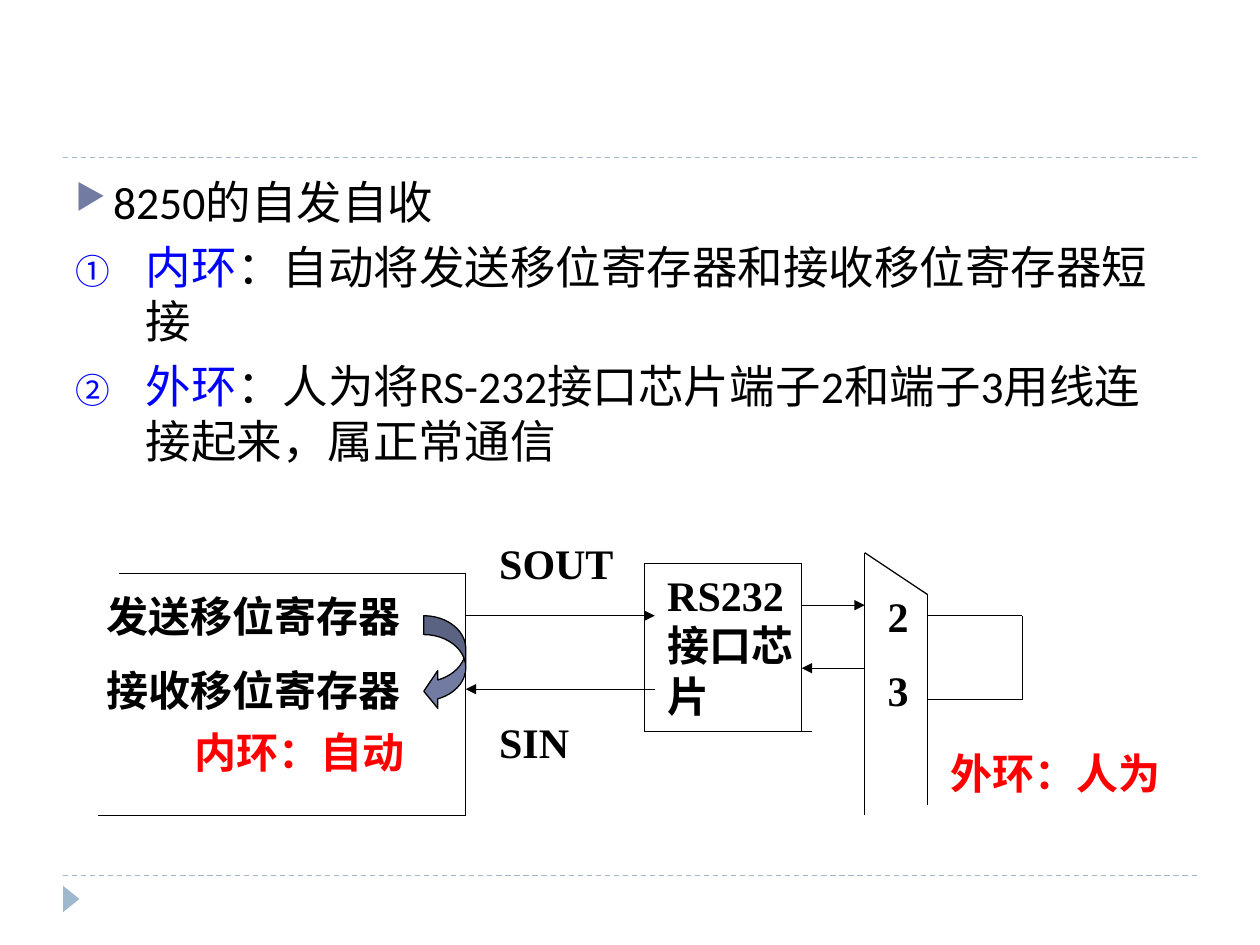
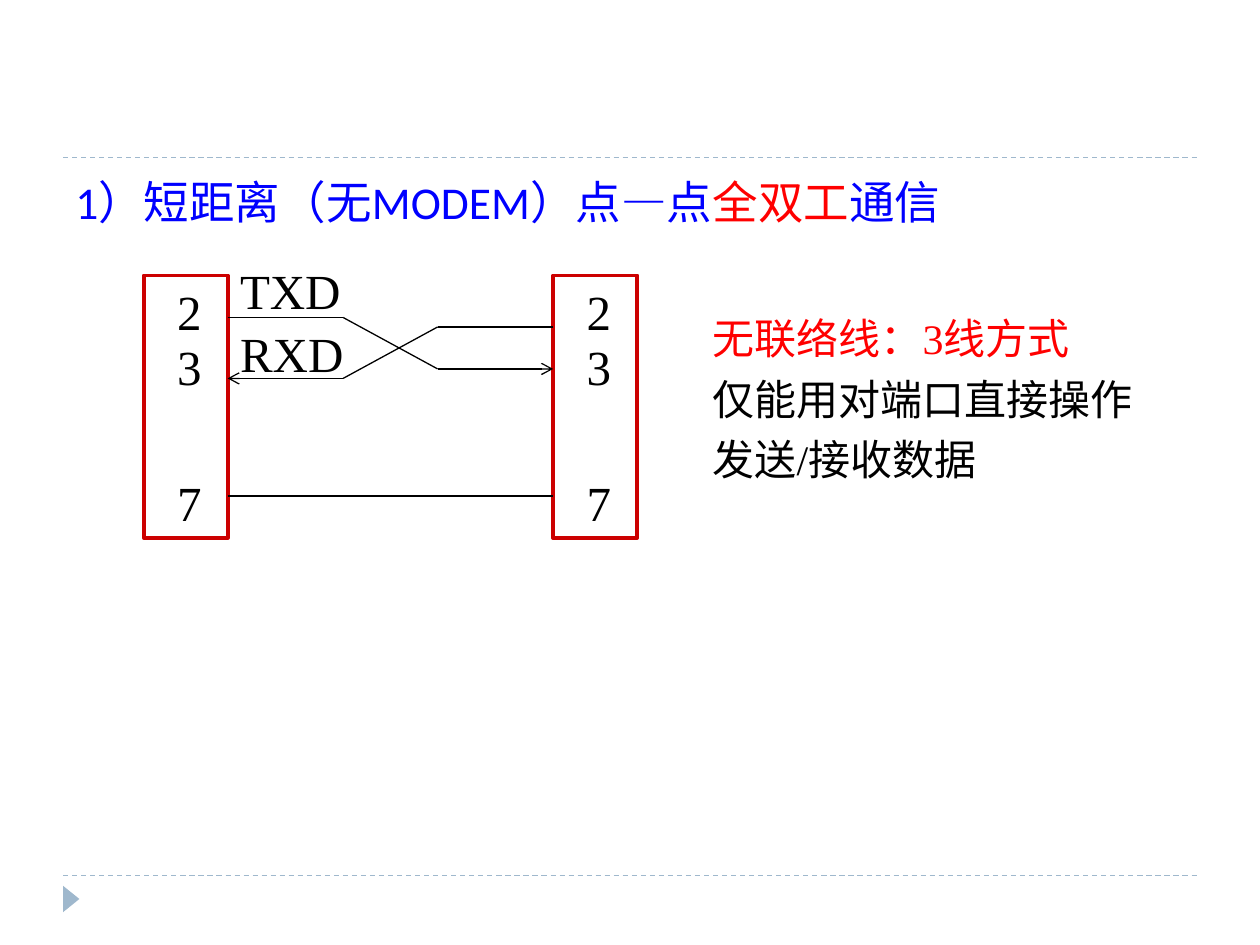
from itertools import pairwise

from lxml.etree import SubElement
from pptx import Presentation
from pptx.dml.color import RGBColor
from pptx.enum.dml import MSO_LINE
from pptx.enum.lang import MSO_LANGUAGE_ID
from pptx.enum.shapes import MSO_CONNECTOR, MSO_SHAPE
from pptx.oxml.ns import qn
from pptx.util import Inches, Pt

BLACK = RGBColor(0x00, 0x00, 0x00)
BLUE = RGBColor(0x00, 0x00, 0xFF)
RED = RGBColor(0xFF, 0x00, 0x00)
CRIMSON = RGBColor(0xCC, 0x00, 0x00)
SLATE = RGBColor(0x72, 0x7C, 0xA3)
MIST = RGBColor(0x9F, 0xB8, 0xCD)
BODY_FONT, DIAGRAM_FONT = "Calibri", "Times New Roman"
WIDTH, HEIGHT = 10, 7.5
UNIT = 1 / 12


class Grid:
    """Places parts by column and row, counted from a corner given in inches."""

    def __init__(self, slide, left, top, unit=UNIT):
        self.shapes, self.left, self.top, self.unit = slide.shapes, left, top, unit

    def point(self, col, row):
        """Return the slide position of a grid point."""
        return Inches(self.left + col * self.unit), Inches(self.top + row * self.unit)

    def frame(self, col, row, cols, rows):
        """Return position and size of a grid area."""
        return *self.point(col, row), Inches(cols * self.unit), Inches(rows * self.unit)

    def path_line(self, *points, color=BLACK, dash=None, arrow=None):
        """Join points by straight lines, the last one with an optional arrowhead."""
        for start, end in pairwise(points):
            c = self.shapes.add_connector(
                MSO_CONNECTOR.STRAIGHT, *self.point(*start), *self.point(*end))
            c.line.color.rgb, c.line.width = color, Pt(0.75)
            if dash:
                c.line.dash_style = dash
            if arrow and end == points[-1]:
                SubElement(c.line._get_or_add_ln(), qn("a:tailEnd"), type=arrow)
            SubElement(c._element.spPr, qn("a:effectLst"))

    def shape(self, kind, col, row, cols, rows, fill=None, line=None, weight=0.75):
        """Add a preset shape with plain fill and outline."""
        sp = self.shapes.add_shape(kind, *self.frame(col, row, cols, rows))
        sp.shadow.inherit = False
        if fill is None:
            sp.fill.background()
        else:
            sp.fill.solid()
            sp.fill.fore_color.rgb = fill
        if line is None:
            sp.line.fill.background()
        else:
            sp.line.color.rgb, sp.line.width = line, Pt(weight)
        return sp

    def text(self, paragraphs, col, row, cols, rows, size=24, font=DIAGRAM_FONT,
             color=BLACK, bold=False, gap=0, spacing=None):
        """Add paragraphs, each a string or a list of (string, colour) runs."""
        tf = self.shapes.add_textbox(*self.frame(col, row, cols, rows)).text_frame
        tf.word_wrap = True
        for i, runs in enumerate(paragraphs):
            p = tf.paragraphs[0] if i == 0 else tf.add_paragraph()
            if i:
                p.space_before = Pt(gap)
            if spacing:
                p.line_spacing = spacing
            for words, tint in [(runs, color)] if isinstance(runs, str) else runs:
                r = p.add_run()
                r.text = words
                r.font.name, r.font.size, r.font.bold = font, Pt(size), bold
                r.font.color.rgb = tint
                r.font.language_id = MSO_LANGUAGE_ID.SIMPLIFIED_CHINESE
        return tf


def bullet(p, indent, tag, color=None, **attrs):
    """Give a paragraph a hanging bullet."""
    pPr = p._p.get_or_add_pPr()
    pPr.set("marL", str(Inches(indent)))
    pPr.set("indent", str(-Inches(indent)))
    if color is not None:
        clr = SubElement(pPr, qn("a:buClr"))
        SubElement(clr, qn("a:srgbClr"), val=str(color))
    SubElement(pPr, qn("a:buSzPct"), val="76000")
    SubElement(pPr, qn(tag), **attrs)


def new_slide(prs):
    """Add a blank slide with the dashed rules and the corner marker."""
    slide = prs.slides.add_slide(prs.slide_layouts[6])
    page = Grid(slide, 0, 0, 1)
    for row in (6.95, 1.25):
        page.path_line((0.5, row), (WIDTH - 0.5, row), color=MIST, dash=MSO_LINE.DASH)
    page.shape(MSO_SHAPE.ISOSCELES_TRIANGLE, 0.46, 7.07, 0.21, 0.13, fill=MIST).rotation = 90
    return slide


def body(slide, paragraphs):
    """Add the main text below the upper rule."""
    return Grid(slide, 0.5, 1.33, 1).text(
        paragraphs, 0, 0, 9, 5.4, size=26, font=BODY_FONT, gap=6)


def chip_8250(grid):
    """Draw the open chip outline with its registers and inner loop."""
    grid.text(["发送移位寄存器", "接收移位寄存器"], -0.4, 5, 39.7, 13.3, bold=True, gap=13.8)
    grid.path_line((2, 4), (35, 4), (35, 27), (0, 27))
    arrow = grid.shape(MSO_SHAPE.CURVED_LEFT_ARROW, 31, 8, 4, 9, fill=SLATE, line=BLACK)
    for i, value in enumerate((0.45, 0.9, 0.333)):
        arrow.adjustments[i] = value
    grid.text(["内环：自动"], 8, 18, 26, 6, color=RED, bold=True)


def rs232_chip(grid):
    """Draw the interface chip and the serial lines on both sides."""
    grid.path_line((67, 19), (67, 3), (52, 3), (52, 19), (68, 19))
    grid.text(["RS232接口芯片"], 53, 3, 16, 15.7, bold=True)
    grid.text(["SOUT"], 37, 0, 15, 6, bold=True)
    grid.text(["SIN"], 37, 17, 12, 6, bold=True)
    for start, end in (((35, 8), (53, 8)), ((53, 15), (35, 15)),
                       ((67, 7), (73, 7)), ((73, 13), (67, 13))):
        grid.path_line(start, end, arrow="triangle")


def connector_plug(grid):
    """Draw the plug with terminals 2 and 3 wired together."""
    grid.path_line((73, 27), (73, 2), (79, 6), (79, 26))
    grid.text(["2", "3"], 74, 5, 3, 13.3, bold=True, gap=13.8)
    grid.path_line((79, 8), (88, 8), (88, 16), (79, 16))
    grid.text(["外环：人为"], 80, 20, 24, 6, color=RED, bold=True)


def loopback_slide(prs):
    """Build the slide on 8250 inner and outer loops."""
    slide = new_slide(prs)
    tf = body(slide, [
        "8250的自发自收",
        [("内环", BLUE), ("：自动将发送移位寄存器和接收移位寄存器短接", BLACK)],
        [("外环", BLUE), ("：人为将RS-232接口芯片端子2和端子3用线连接起来，属正常通信", BLACK)],
    ])
    heading, *loops = tf.paragraphs
    bullet(heading, 0.3, "a:buChar", SLATE, char="▶")
    for p in loops:
        bullet(p, 0.56, "a:buAutoNum", BLUE, type="circleNumDbPlain")
    grid = Grid(slide, 0.78, 4.22)
    for region in (chip_8250, rs232_chip, connector_plug):
        region(grid)


def port(grid, col):
    """Draw one port with its three pin numbers."""
    grid.shape(MSO_SHAPE.RECTANGLE, col, 2, 8, 25, line=CRIMSON, weight=2.25)
    for pin, row in (("2", 2), ("3", 7.2), ("7", 20.2)):
        grid.text([pin], col + 2, row, 8, 6.8, size=28)


def crossed_wires(grid):
    """Draw the crossed data lines and the common line between the ports."""
    grid.path_line((8, 6), (19, 6), (28, 10.9), (39, 10.9), arrow="arrow")
    grid.path_line((39, 6.9), (28, 6.9), (19, 11.8), (8, 11.8), arrow="arrow")
    grid.path_line((8, 23), (39, 23))
    for label, row in (("TXD", 0), ("RXD", 6)):
        grid.text([label], 8, row, 15, 6.8, size=28)


def full_duplex_slide(prs):
    """Build the slide on short-distance full-duplex wiring."""
    slide = new_slide(prs)
    body(slide, [[("1）短距离（无MODEM）点—点", BLUE), ("全双工", RED), ("通信", BLUE)]])
    grid = Grid(slide, 1.14, 2.02)
    for col in (0, 39):
        port(grid, col)
    crossed_wires(grid)
    grid.text([[("无联络线：3线方式", RED)], "仅能用对端口直接操作发送/接收数据"],
              53, 4, 46, 18.7, spacing=1.2)


def main():
    """Build and save the presentation."""
    prs = Presentation()
    prs.slide_width, prs.slide_height = Inches(WIDTH), Inches(HEIGHT)
    loopback_slide(prs)
    full_duplex_slide(prs)
    prs.save("out.pptx")


if __name__ == "__main__":
    main()
